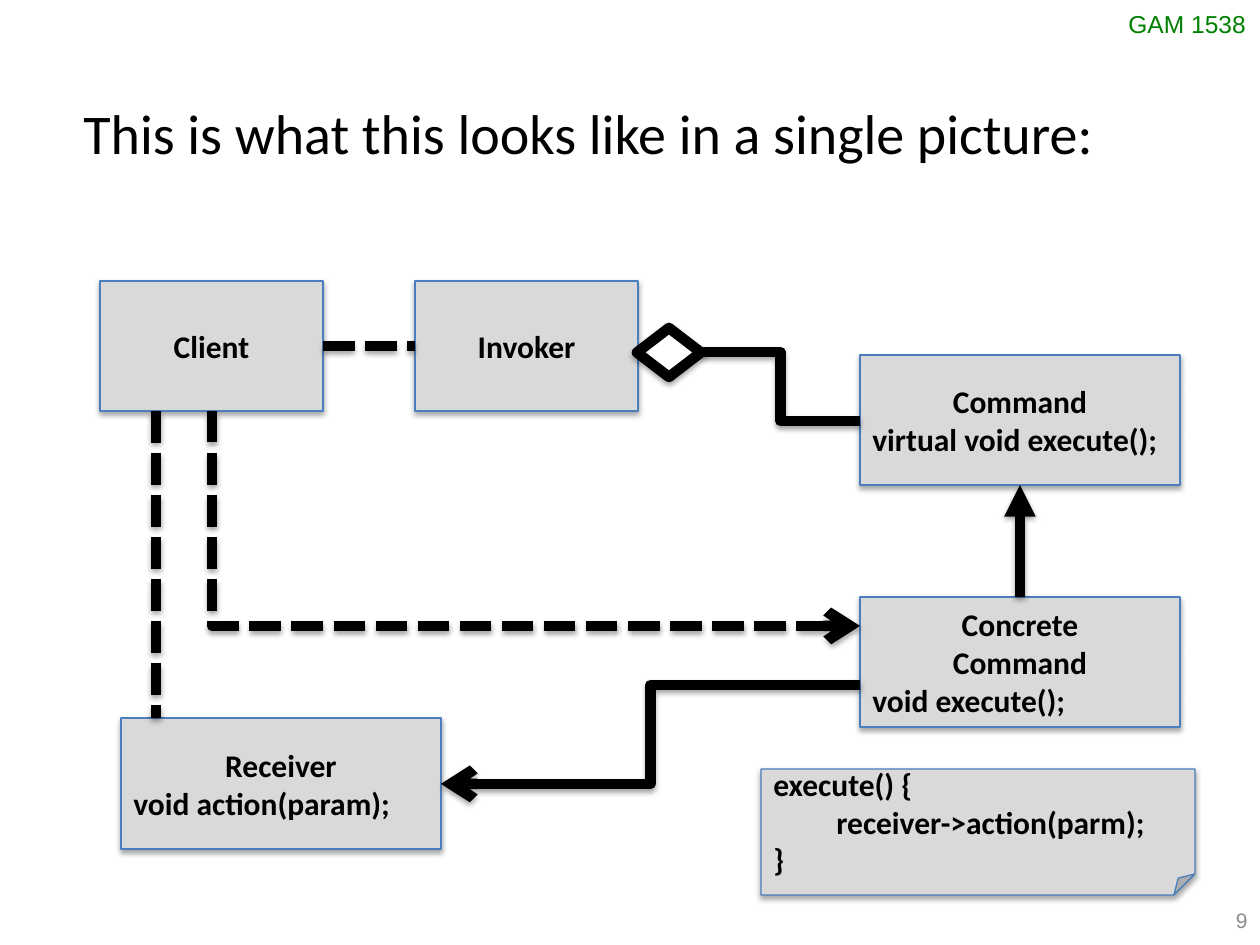
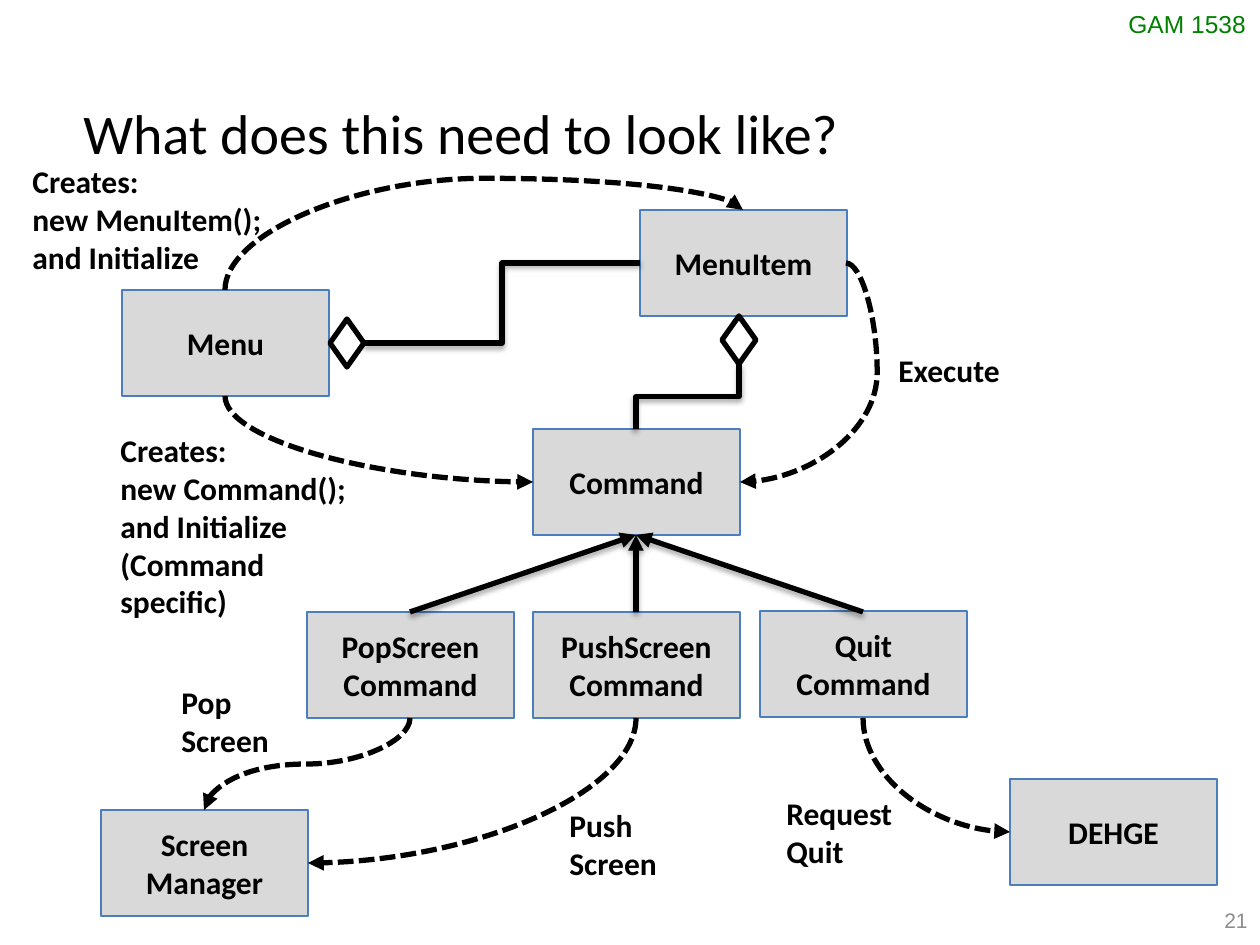
from lxml.etree import SubElement
from pptx import Presentation
from pptx.dml.color import RGBColor
from pptx.enum.dml import MSO_LINE
from pptx.enum.shapes import MSO_CONNECTOR as LINK, MSO_SHAPE as SHAPE
from pptx.enum.text import MSO_ANCHOR as ANCHOR, PP_ALIGN as ALIGN
from pptx.oxml.ns import qn
from pptx.util import Pt

PX = 914400 // 126  # EMU in one pixel
BLACK = RGBColor(0x00, 0x00, 0x00)
WHITE = RGBColor(0xFF, 0xFF, 0xFF)
GREY = RGBColor(0xD9, 0xD9, 0xD9)
BLUE = RGBColor(0x4B, 0x7E, 0xBC)
GREEN = RGBColor(0x00, 0x80, 0x00)
PAGE_GREY = RGBColor(0x8C, 0x8C, 0x8C)


def write(shape, text, size=18, font="Calibri", color=BLACK, bold=True,
          align=ALIGN.LEFT, anchor=ANCHOR.TOP, wrap=True, indent=0):
    """Add one paragraph to the shape for each line of text."""
    frame = shape.text_frame
    frame.word_wrap = wrap
    frame.vertical_anchor = anchor
    for line in text.split("\n"):
        paragraph = frame.add_paragraph() if frame.text else frame.paragraphs[0]
        paragraph.alignment = align
        if indent:
            paragraph._p.get_or_add_pPr().set("marL", str(indent * PX))
        run = paragraph.add_run()
        run.text = line
        run.font.size = Pt(size)
        run.font.name = font
        run.font.bold = bold
        run.font.color.rgb = color


def set_shadow(shape, cast):
    """Give the shape a soft shadow below it, or none."""
    effects = SubElement(shape._element.spPr, qn("a:effectLst"))
    if cast:
        shadow = SubElement(effects, qn("a:outerShdw"), blurRad="40000",
                            dist="22000", dir="5400000", rotWithShape="0")
        color = SubElement(shadow, qn("a:srgbClr"), val=str(BLACK))
        SubElement(color, qn("a:alpha"), val="35000")


presentation = Presentation()
presentation.slide_width = 1260 * PX
presentation.slide_height = 945 * PX

# What all slides share: course code, page number, title
slides = []
for number, title in [("9", "This is what this looks like in a single picture:"),
                      ("21", "What does this need to look like?")]:
    slide = presentation.slides.add_slide(presentation.slide_layouts[6])
    slides.append(slide)
    course = slide.shapes.add_textbox(1116 * PX, 3 * PX, 144 * PX, 43 * PX)
    write(course, "GAM 1538", size=14, font="Arial", color=GREEN, bold=False, wrap=False)
    page = slide.shapes.add_textbox(966 * PX, 895 * PX, 294 * PX, 50 * PX)
    write(page, number, size=12, font="Arial", color=PAGE_GREY, bold=False,
          align=ALIGN.RIGHT, anchor=ANCHOR.MIDDLE)
    heading = slide.shapes.add_textbox(71 * PX, 92 * PX, 1134 * PX, 81 * PX)
    write(heading, title, size=32, bold=False)
pattern, menu = slides

# Class boxes: slide, left, top, width, height, centred name, code on the left
boxes = [
    (pattern, 860, 355, 320, 130, "Command", "virtual void execute();"),
    (pattern, 860, 597, 320, 130, "Concrete\nCommand", "void execute();"),
    (pattern, 415, 281, 223, 130, "Invoker", ""),
    (pattern, 100, 281, 223, 130, "Client", ""),
    (pattern, 121, 718, 320, 131, "Receiver", "void action(param);"),
]
boxes += [(menu, left, top, 207, 106, name, "") for left, top, name in [
    (122, 290, "Menu"), (640, 210, "MenuItem"), (533, 429, "Command"),
    (307, 612, "PopScreen\nCommand"), (533, 612, "PushScreen\nCommand"),
    (760, 611, "Quit\nCommand"), (101, 810, "Screen Manager"), (1010, 779, "DEHGE")]]
for slide, left, top, width, height, name, code in boxes:
    box = slide.shapes.add_shape(SHAPE.RECTANGLE, left * PX, top * PX, width * PX, height * PX)
    box.fill.solid()
    box.fill.fore_color.rgb = GREY
    box.line.color.rgb = BLUE
    box.line.width = Pt(0.75)
    set_shadow(box, slide is pattern)
    write(box, name, align=ALIGN.CENTER, anchor=ANCHOR.MIDDLE)
    if code:
        write(box, code, anchor=ANCHOR.MIDDLE)

# Folded note with the body of execute()
note = pattern.shapes.add_shape(SHAPE.FOLDED_CORNER, 761 * PX, 769 * PX, 434 * PX, 126 * PX)
note.fill.solid()
note.fill.fore_color.rgb = GREY
note.line.color.rgb = BLUE
note.line.width = Pt(0.75)
set_shadow(note, True)
for line, indent in [("execute() {", 0), ("receiver->action(parm);", 63), ("}", 0)]:
    write(note, line, anchor=ANCHOR.MIDDLE, indent=indent)

# Aggregation diamonds
for slide, left, top, width, height, weight in [
        (pattern, 637, 328, 64, 49, 6), (menu, 722, 316, 34, 48, 3), (menu, 330, 319, 34, 48, 3)]:
    diamond = slide.shapes.add_shape(SHAPE.DIAMOND, left * PX, top * PX, width * PX, height * PX)
    diamond.fill.solid()
    diamond.fill.fore_color.rgb = WHITE
    diamond.line.color.rgb = BLACK
    diamond.line.width = Pt(weight)
    set_shadow(diamond, slide is pattern)

# Links: slide, preset, start, end, leaves vertically, dashed, arrowhead, bend in percent
links = [
    (pattern, "line", (1020, 597), (1020, 485), False, False, "triangle", None),
    (pattern, "bentConnector3", (701, 352), (860, 421), False, False, None, 50),
    (pattern, "bentConnector3", (860, 685), (441, 784), False, False, "arrow", 50),
    (pattern, "bentConnector2", (212, 411), (860, 626), True, True, "arrow", None),
    (pattern, "line", (323, 346), (415, 346), False, True, None, None),
    (pattern, "line", (156, 411), (156, 718), False, True, None, None),
    (menu, "bentConnector3", (739, 364), (636, 429), True, False, None, 50),
    (menu, "bentConnector3", (364, 343), (640, 263), False, False, None, 50),
    (menu, "curvedConnector3", (846, 263), (740, 482), False, True, "triangle", -29.5),
    (menu, "curvedConnector3", (410, 718), (204, 810), True, True, "triangle", 50),
    (menu, "curvedConnector2", (863, 718), (1010, 832), True, True, "triangle", None),
    (menu, "curvedConnector2", (636, 718), (308, 863), True, True, "triangle", None),
    (menu, "curvedConnector2", (225, 396), (533, 482), True, True, "triangle", None),
    (menu, "curvedConnector3", (225, 290), (743, 210), True, True, "triangle", 139.6),
]
links += [(menu, "line", (x, 612), (636, 535), False, False, "triangle", None)
          for x in (410, 636, 863)]
for slide, preset, (x1, y1), (x2, y2), vertical, dashed, head, bend in links:
    middle_x, middle_y = (x1 + x2) * PX // 2, (y1 + y2) * PX // 2
    half_x, half_y = (x2 - x1) * PX // 2, (y2 - y1) * PX // 2
    turn = -1 if half_x > 0 and half_y > 0 else 1
    if vertical:  # lay the link on its side; the rotation below stands it up
        half_x, half_y = turn * half_y, -turn * half_x
    link = slide.shapes.add_connector(LINK.STRAIGHT, middle_x - half_x, middle_y - half_y,
                                      middle_x + half_x, middle_y + half_y)
    properties = link._element.spPr
    if vertical:
        properties.find(qn("a:xfrm")).set("rot", str(turn * 90 * 60000 % 21600000))
    geometry = properties.find(qn("a:prstGeom"))
    geometry.set("prst", preset)
    if bend is not None:
        SubElement(geometry.find(qn("a:avLst")), qn("a:gd"), name="adj1",
                   fmla=f"val {round(bend * 1000)}")
    link.line.color.rgb = BLACK
    link.line.width = Pt(6 if slide is pattern else 3)
    if dashed:
        link.line.dash_style = MSO_LINE.SQUARE_DOT  # sysDash
    if head:
        SubElement(link.line._get_or_add_ln(), qn("a:tailEnd"), type=head)
    set_shadow(link, slide is pattern or not dashed)

# Labels beside the links of the menu slide
for left, top, width, height, label in [
        (886, 345, 139, 50, "Execute"),
        (169, 677, 139, 89, "Pop\nScreen"),
        (557, 800, 139, 89, "Push\nScreen"),
        (774, 788, 139, 89, "Request\nQuit"),
        (108, 425, 263, 204, "Creates:\nnew Command();\nand Initialize\n(Command specific)"),
        (20, 156, 263, 127, "Creates:\nnew MenuItem();\nand Initialize")]:
    write(menu.shapes.add_textbox(left * PX, top * PX, width * PX, height * PX), label)

presentation.save("out.pptx")
